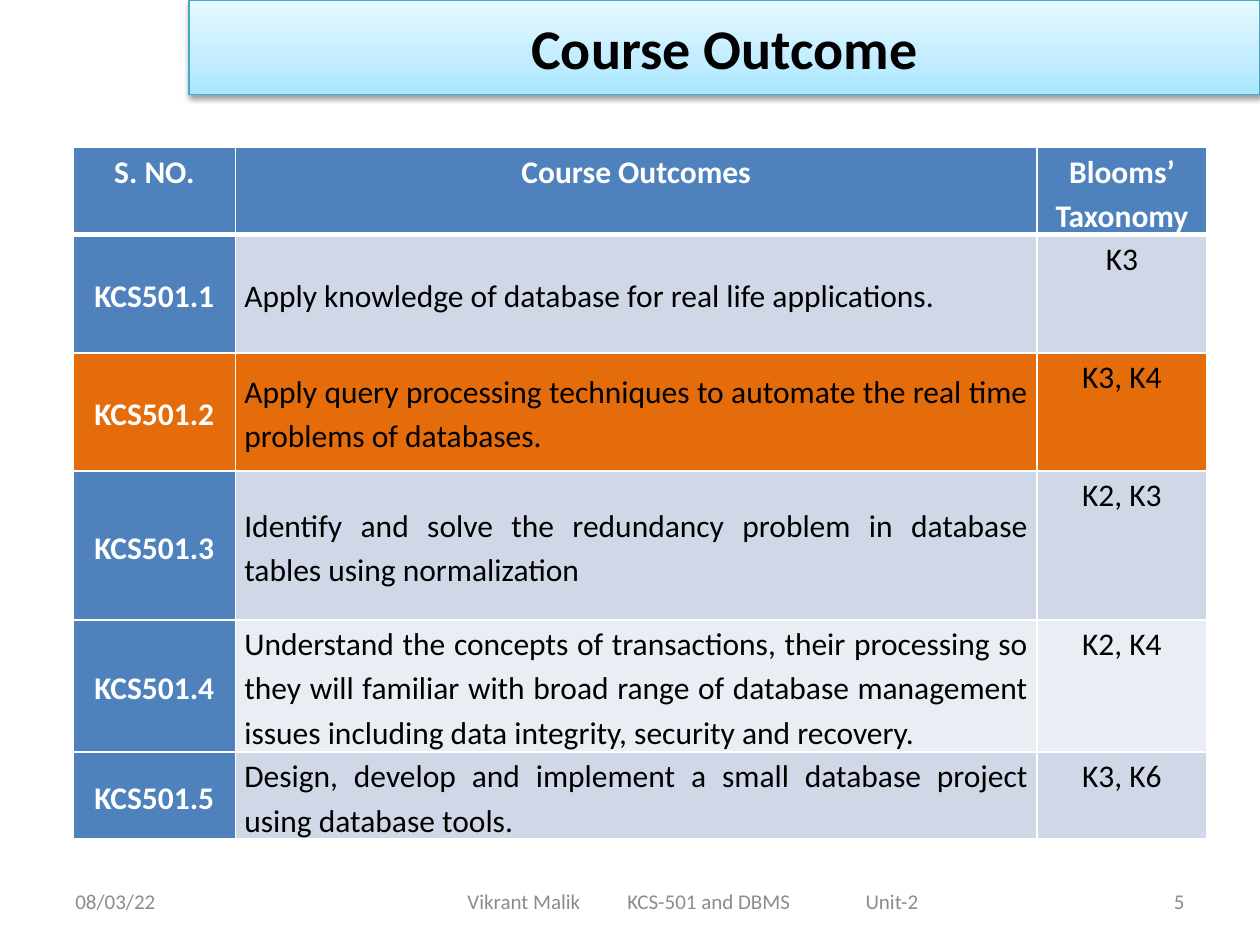
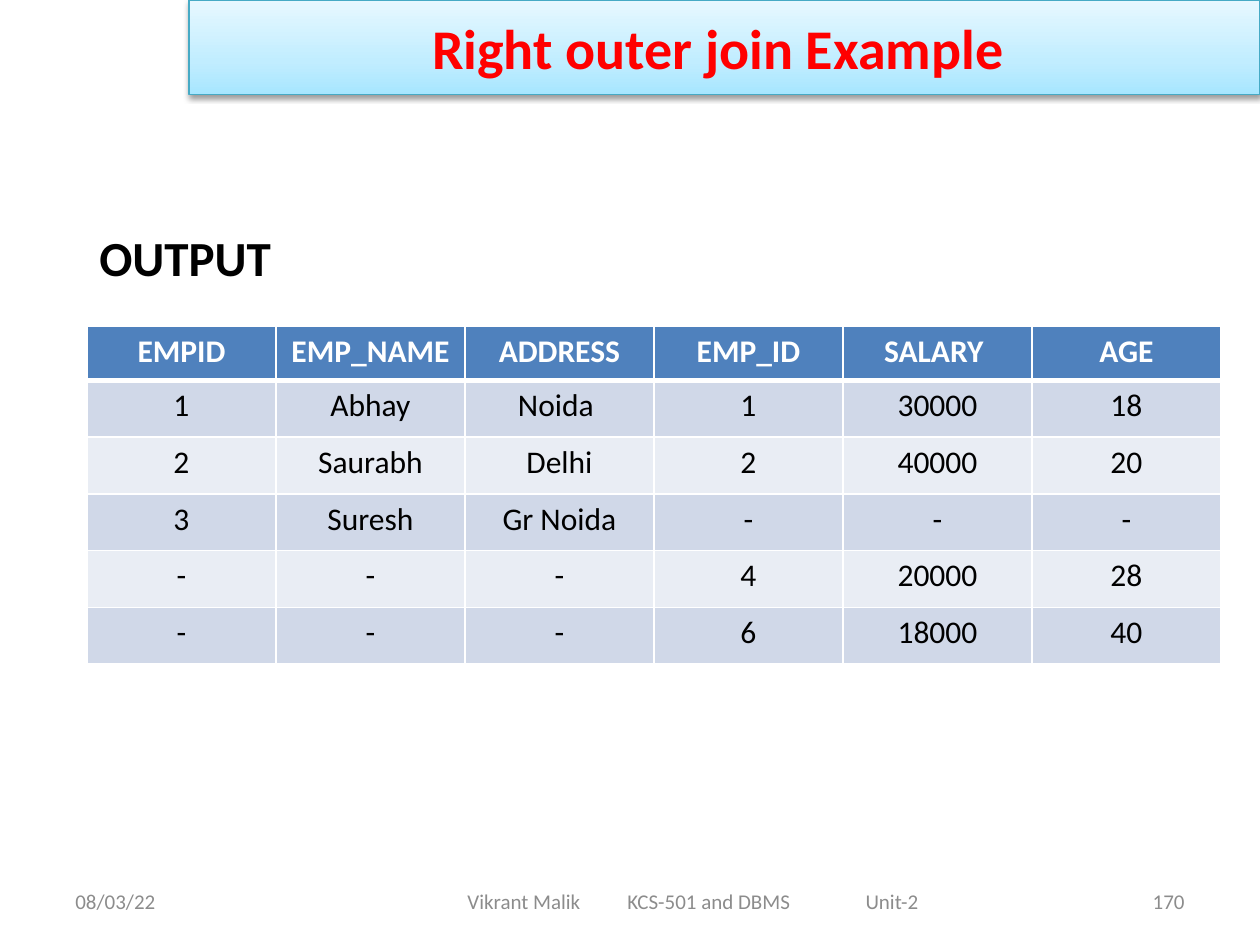
from lxml.etree import SubElement
from pptx import Presentation
from pptx.dml.color import RGBColor
from pptx.enum.shapes import MSO_SHAPE
from pptx.enum.text import MSO_ANCHOR as ANCHOR, PP_ALIGN as ALIGN
from pptx.oxml.ns import qn
from pptx.util import Pt

PX = 9144  # 100 px to the inch
FONT = "Calibri"
WHITE = RGBColor(0xFF, 0xFF, 0xFF)
BLACK = RGBColor(0x00, 0x00, 0x00)
RED = RGBColor(0xFF, 0x00, 0x00)
GREY = RGBColor(0x8C, 0x8C, 0x8C)
BLUE = RGBColor(0x4F, 0x81, 0xBD)
ORANGE = RGBColor(0xE4, 0x6C, 0x0A)
TEAL = RGBColor(0x46, 0xAA, 0xC5)
BANDS = [RGBColor(0xD0, 0xD8, 0xE8), RGBColor(0xE9, 0xED, 0xF4)]
TITLE_STOPS = [(0, RGBColor(0xA7, 0xE6, 0xFF)),
               (35, RGBColor(0xC1, 0xED, 0xFF)),
               (100, RGBColor(0xE7, 0xF8, 0xFF))]
FOOTER_TABS = [127, 316]


def write(tf, text, size, color, bold=False, align=ALIGN.LEFT):
    p = tf.paragraphs[0]
    p.alignment = align
    r = p.add_run()
    r.text = text
    r.font.name, r.font.size, r.font.bold = FONT, Pt(size), bold
    r.font.color.rgb = color
    return p


def add_grid(slide, rows, left, top, widths, heights):
    """Add a table with a blue header, banded rows and white rules."""
    table = slide.shapes.add_table(len(rows), len(widths), left * PX, top * PX,
                                   sum(widths) * PX, sum(heights) * PX).table
    for column, width in zip(table.columns, widths):
        column.width = width * PX
    for i, (row, height) in enumerate(zip(rows, heights)):
        table.rows[i].height = height * PX
        for j, text in enumerate(row):
            cell = table.cell(i, j)
            tcPr = cell._tc.get_or_add_tcPr()
            top_rule, bottom_rule = 3 if i == 1 else 1, 3 if i == 0 else 1
            for side, weight in zip("LRTB", (1, 1, top_rule, bottom_rule)):
                ln = SubElement(tcPr, qn(f"a:ln{side}"), w=str(Pt(weight)))
                SubElement(SubElement(ln, qn("a:solidFill")), qn("a:srgbClr"), val=str(WHITE))
            cell.fill.solid()
            cell.fill.fore_color.rgb = BANDS[(i - 1) % 2] if i else BLUE
            write(cell.text_frame, text, 18, BLACK if i else WHITE, i == 0, ALIGN.CENTER)
    return table


prs = Presentation()
prs.slide_width, prs.slide_height = 1000 * PX, 750 * PX

# Shared title band and footer
slides = []
for title, title_color, number in [("Course Outcome", BLACK, "5"),
                                   ("Right outer join Example ", RED, "170")]:
    s = prs.slides.add_slide(prs.slide_layouts[6])
    slides.append(s)
    for left, width, text, align in [
            (50, 233, "08/03/22", ALIGN.LEFT),
            (275, 550, "Vikrant Malik\tKCS-501 and DBMS\tUnit-2", ALIGN.LEFT),
            (717, 233, number, ALIGN.RIGHT)]:
        tf = s.shapes.add_textbox(left * PX, 695 * PX, width * PX, 40 * PX).text_frame
        tf.word_wrap = True
        tf.vertical_anchor = ANCHOR.MIDDLE
        if "\t" in text:
            tf.margin_left = 96 * PX
            tabs = SubElement(tf.paragraphs[0]._p.get_or_add_pPr(), qn("a:tabLst"))
            for pos in FOOTER_TABS:
                SubElement(tabs, qn("a:tab"), pos=str(pos * PX), algn="l")
        write(tf, text, 12, GREY, align=align)

    band = s.shapes.add_shape(MSO_SHAPE.RECTANGLE, 150 * PX, 0, 850 * PX, 75 * PX)
    band.fill.gradient()
    band.fill.gradient_angle = 90
    spPr = band._element.spPr
    stops = spPr.find(".//" + qn("a:gsLst"))
    stops.clear()
    for percent, color in TITLE_STOPS:
        gs = SubElement(stops, qn("a:gs"), pos=str(percent * 1000))
        SubElement(gs, qn("a:srgbClr"), val=str(color))
    band.line.color.rgb = TEAL
    band.line.width = Pt(0.75)
    band.shadow.inherit = False
    shadow = SubElement(spPr.find(qn("a:effectLst")), qn("a:outerShdw"),
                        blurRad="40000", dist="20000", dir="5400000", rotWithShape="0")
    SubElement(SubElement(shadow, qn("a:srgbClr"), val=str(BLACK)), qn("a:alpha"), val="38000")
    band.text_frame.word_wrap = True
    band.text_frame.vertical_anchor = ANCHOR.MIDDLE
    write(band.text_frame, title, 32, title_color, True, ALIGN.CENTER)

outcome_slide, join_slide = slides

# Course outcomes
outcomes = [
    ("S. NO.", "Course Outcomes", "Blooms’ Taxonomy"),
    ("KCS501.1", "Apply knowledge of database for real life applications.", "K3"),
    ("KCS501.2", "Apply query processing techniques to automate the real time "
                 "problems of databases.", "K3, K4"),
    ("KCS501.3", "Identify and solve the redundancy problem in database tables "
                 "using normalization", "K2, K3"),
    ("KCS501.4", "Understand the concepts of transactions, their processing so they "
                 "will familiar with broad range of database management issues "
                 "including data integrity, security and recovery.", "K2, K4"),
    ("KCS501.5", "Design, develop and implement a small database project using "
                 "database tools.", "K3, K6"),
]
HIGHLIGHT_ROW = 2
table = add_grid(outcome_slide, outcomes, 58, 117, [129, 636, 135],
                 [69, 94, 94, 118, 105, 69])
for i in range(len(outcomes)):
    for j in range(3):
        cell = table.cell(i, j)
        cell.margin_left = cell.margin_right = 7 * PX
        cell.margin_top = cell.margin_bottom = 0
        p = cell.text_frame.paragraphs[0]
        p.line_spacing = 1.15
        if i and j < 2:
            cell.vertical_anchor = ANCHOR.MIDDLE
        if i and j == 1:
            p.alignment = ALIGN.JUSTIFY
        if i and j == 0:
            cell.fill.fore_color.rgb = BLUE
            p.runs[0].font.bold = True
            p.runs[0].font.color.rgb = WHITE
        if i == HIGHLIGHT_ROW:
            cell.fill.fore_color.rgb = ORANGE

# Right outer join result
joined = [
    ("EMPID", "EMP_NAME", "ADDRESS", "EMP_ID", "SALARY ", "AGE"),
    ("1", "Abhay", "Noida ", "1", "30000", "18"),
    ("2", "Saurabh", "Delhi", "2", "40000", "20"),
    ("3", "Suresh", "Gr Noida", "-", "-", "-"),
    ("-", "-", "-", "4", "20000", "28"),
    ("-", "-", "-", "6", "18000", "40"),
]
add_grid(join_slide, joined, 69, 259, [150] * 6, [43] + [45] * 5)
tf = join_slide.shapes.add_textbox(69 * PX, 176 * PX, 213 * PX, 57 * PX).text_frame
tf.word_wrap = True
write(tf, "OUTPUT", 28, BLACK, True)

prs.save("out.pptx")
